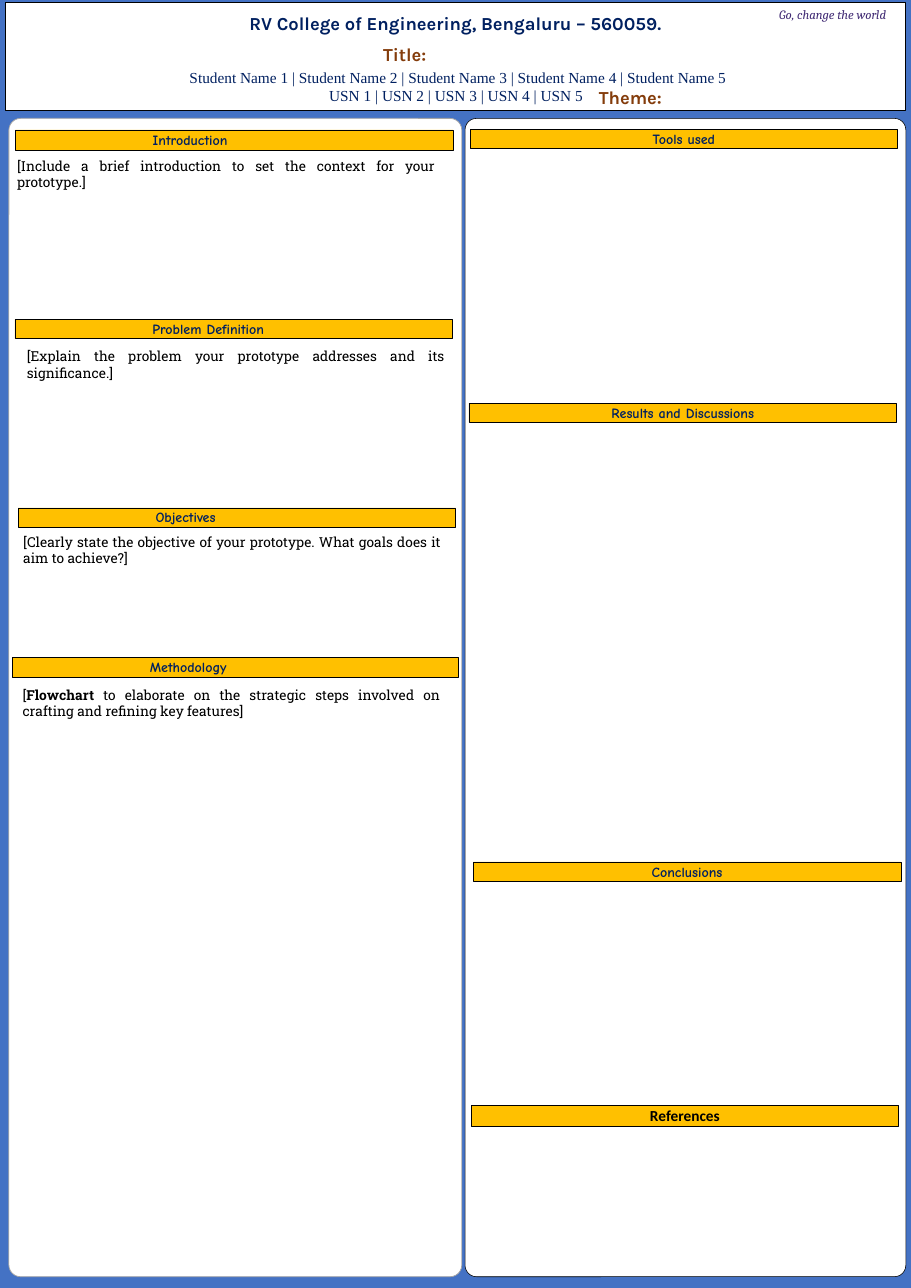
"""Build a one-page college project poster with two columns of sections."""
import pptx
import pptx.dml.color
import pptx.enum.shapes
import pptx.enum.text
import pptx.util

Cm = pptx.util.Cm
Pt = pptx.util.Pt
RGBColor = pptx.dml.color.RGBColor
ALIGN = pptx.enum.text.PP_ALIGN
ANCHOR = pptx.enum.text.MSO_ANCHOR
SHAPE = pptx.enum.shapes.MSO_SHAPE

BLUE = RGBColor(0x44, 0x72, 0xC4)
WHITE = RGBColor(0xFF, 0xFF, 0xFF)
BLACK = RGBColor(0, 0, 0)
GREY = RGBColor(0xA5, 0xA5, 0xA5)
AMBER = RGBColor(0xFF, 0xC0, 0)
NAVY = RGBColor(0, 0x20, 0x60)
BROWN = RGBColor(0x84, 0x3C, 0x0B)
PURPLE = RGBColor(0x42, 0x2C, 0x75)

LEFT_HEADING_INSET = 6.33
LEFT_BARS = [
    ("Introduction", 0.71, 5.99, 20.17, 0.94),
    ("Problem Definition", 0.69, 14.73, 20.17, 0.89),
    ("Objectives", 0.84, 23.42, 20.17, 0.89),
    ("Methodology", 0.58, 30.33, 20.55, 0.89),
]
RIGHT_BARS = [
    ("Tools used", 21.67, 5.97),
    ("Results and Discussions", 21.62, 18.59),
    ("Conclusions", 21.82, 39.75),
]
BODIES = [
    ([("[Include a brief introduction to set the context for your prototype.]", False)],
     0.69, 7.21, 7.04),
    ([("[Explain the problem your prototype addresses and its significance.]", False)],
     1.14, 16, 7.04),
    ([("[Clearly state the objective of your prototype. "
       "What goals does it aim to achieve?]", False)],
     0.97, 24.56, 4.14),
    ([("[", False), ("Flowchart", True),
      (" to elaborate on the strategic steps involved on "
       "crafting and refining key features]", False)],
     0.94, 31.62, 27.03),
]


def add_span(para, text, font, size, color, bold=False, italic=False):
    """Append one formatted run to a paragraph."""
    span = para.add_run()
    span.text = text
    span.font.name = font
    span.font.size = Pt(size)
    span.font.color.rgb = color
    span.font.bold = bold
    span.font.italic = italic


def set_frame(box, left=0.1, top=0.05):
    """Set wrapping, top anchor and insets, and return the text frame."""
    frame = box.text_frame
    frame.word_wrap = True
    frame.auto_size = pptx.enum.text.MSO_AUTO_SIZE.NONE
    frame.vertical_anchor = ANCHOR.TOP
    frame.margin_left = Cm(left)
    frame.margin_right = Cm(0.1)
    frame.margin_top = Cm(top)
    frame.margin_bottom = Cm(0.05)
    return frame


def paint(box, fill, line=None, width=0.75):
    """Give a box a solid fill and an optional outline."""
    box.fill.solid()
    box.fill.fore_color.rgb = fill
    if line is None:
        box.line.fill.background()
    else:
        box.line.color.rgb = line
        box.line.width = Pt(width)


def add_box(page, kind, place, fill, line=None, width=0.75):
    """Add a flat preset shape at a place given in centimetres."""
    box = page.shapes.add_shape(kind, *map(Cm, place))
    box.shadow.inherit = False
    paint(box, fill, line, width)
    return box


def add_panel(page, place, line, width):
    """Add a white rounded column."""
    panel = add_box(page, SHAPE.ROUNDED_RECTANGLE, place, WHITE, line, width)
    panel.adjustments[0] = 0.026


def add_bar(page, text, place, align=ALIGN.CENTER, inset=0.1,
            font="Comic Neue", size=18.4, color=NAVY):
    """Add an amber section heading."""
    bar = add_box(page, SHAPE.RECTANGLE, place, AMBER, BLACK)
    para = set_frame(bar, inset).paragraphs[0]
    para.alignment = align
    add_span(para, text, font, size, color, bold=True)


def add_text(page, place, align, left=0.1):
    """Add an empty text box and return its first paragraph."""
    box = page.shapes.add_textbox(*map(Cm, place))
    para = set_frame(box, left).paragraphs[0]
    para.alignment = align
    return para


def add_heading(page):
    """Format the title placeholder as the white page header."""
    title = page.shapes.title
    title.left, title.top, title.width, title.height = map(Cm, (0.25, 0.1, 41.48, 4.98))
    paint(title, WHITE, BLACK)
    para = set_frame(title, top=0.46).paragraphs[0]
    para.alignment = ALIGN.CENTER
    add_span(para, "RV College of Engineering, Bengaluru – 560059.",
             "Karla", 24, NAVY, bold=True)


def add_students(page):
    """Add the names and numbers of the team."""
    box = add_box(page, SHAPE.RECTANGLE, (4.34, 3.1, 33.55, 1.83), WHITE)
    frame = set_frame(box)
    names = " | ".join(f"Student Name {number}" for number in range(1, 6))
    numbers = " | ".join(f"USN {number}" for number in range(1, 6)) + " "
    for para, text in ((frame.paragraphs[0], names), (frame.add_paragraph(), numbers)):
        para.alignment = ALIGN.CENTER
        add_span(para, text, "Times New Roman", 20, NAVY)


def main():
    """Build and save the poster."""
    deck = pptx.Presentation()
    deck.slide_width, deck.slide_height = Pt(1190.5), Pt(1683.75)
    page = deck.slides.add_slide(deck.slide_layouts[5])
    page.background.fill.solid()
    page.background.fill.fore_color.rgb = BLUE

    add_heading(page)
    para = add_text(page, (1.93, 1.93, 33.68, 1.14), ALIGN.CENTER)
    add_span(para, "Title: ", "Karla", 24, BROWN, bold=True)
    add_students(page)
    para = add_text(page, (27.51, 3.91, 14.27, 1.14), ALIGN.LEFT)
    add_span(para, "Theme:", "Karla", 24, BROWN, bold=True)
    para = add_text(page, (35.89, 0.28, 6.1, 0.74), ALIGN.LEFT, left=0.03)
    add_span(para, "Go, change the world", "Cambria", 16.7, PURPLE, italic=True)

    add_panel(page, (21.44, 5.46, 20.32, 53.42), BLACK, 0.75)
    add_panel(page, (0.41, 5.46, 20.88, 53.42), GREY, 1)
    for text, *place in LEFT_BARS:
        add_bar(page, text, place, ALIGN.LEFT, LEFT_HEADING_INSET)
    for text, left, top in RIGHT_BARS:
        add_bar(page, text, (left, top, 19.71, 0.89))
    add_bar(page, "References", (21.72, 50.98, 19.71, 0.97),
            font="Calibri", size=20, color=BLACK)
    for spans, left, top, height in BODIES:
        para = add_text(page, (left, top, 19.46, height), ALIGN.JUSTIFY)
        for text, bold in spans:
            add_span(para, text, "Roboto Slab", 18, BLACK, bold)

    deck.save("out.pptx")


if __name__ == "__main__":
    main()
